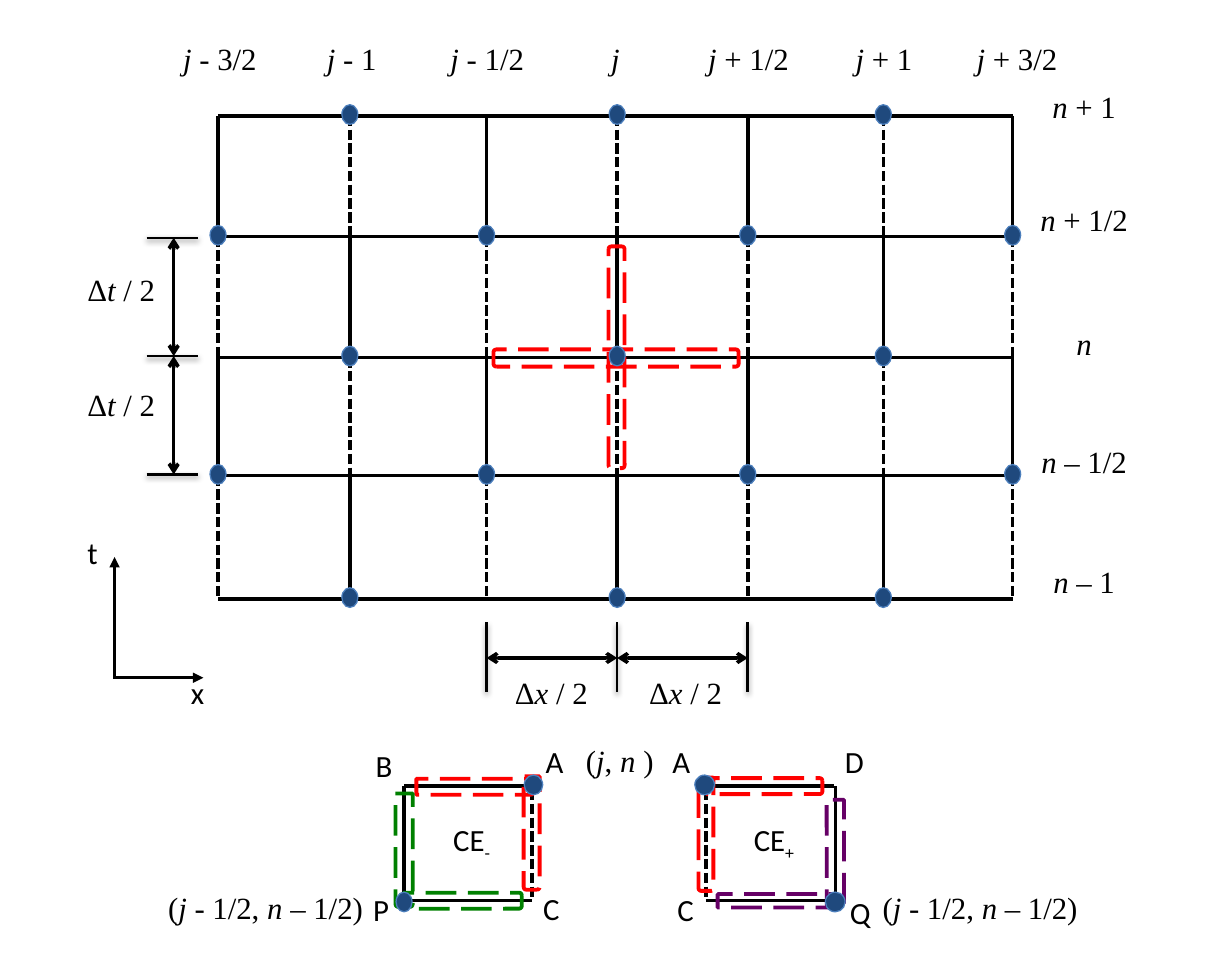
"""Draw a space-time mesh with its two conservation elements."""
from typing import NamedTuple

from lxml.etree import SubElement
from pptx import Presentation
from pptx.dml.color import RGBColor
from pptx.enum.dml import MSO_LINE
from pptx.enum.shapes import MSO_CONNECTOR, MSO_SHAPE
from pptx.enum.text import MSO_AUTO_SIZE, PP_ALIGN
from pptx.oxml.ns import qn
from pptx.shapes.autoshape import Shape
from pptx.shapes.shapetree import SlideShapes
from pptx.util import Inches, Pt

BLACK, NAVY, EDGE = "000000", "1F497D", "4B7EBC"
RED, GREEN, PURPLE = "FF0000", "008000", "660066"
SERIF, SANS = "Times New Roman", "Calibri"
COLS = [1.77, 2.84, 3.95, 5.01, 6.07, 7.17, 8.22]
ROWS = [0.94, 1.92, 2.9, 3.86, 4.86]


class Rule(NamedTuple):
    x1: float
    y1: float
    x2: float
    y2: float
    width: float = 2
    dash: bool = False
    head: str = ""
    tail: str = ""
    shade: bool = False


class Bar(NamedTuple):
    left: float
    top: float
    width: float
    height: float
    hue: str
    turn: int = 180
    kind: MSO_SHAPE = MSO_SHAPE.ROUND_2_SAME_RECTANGLE


class Dot(NamedTuple):
    x: float
    y: float
    width: float = 0.13


class Label(NamedTuple):
    text: str
    left: float
    top: float
    width: float = 0.87
    face: str = SERIF


def color(hue: str) -> RGBColor:
    """Turn a hex string into a color."""
    return RGBColor.from_string(hue)


def draw_rule(shapes: SlideShapes, rule: Rule) -> None:
    """Draw a straight line with optional dashes, heads and shadow."""
    ends = map(Inches, rule[:4])
    link = shapes.add_connector(MSO_CONNECTOR.STRAIGHT, *ends)
    link.line.color.rgb = color(BLACK)
    link.line.width = Pt(rule.width)
    if rule.dash:
        link.line.dash_style = MSO_LINE.SQUARE_DOT
    props = link.element.spPr
    edge = props.find(qn("a:ln"))
    for tag, kind in (("a:headEnd", rule.head), ("a:tailEnd", rule.tail)):
        if kind:
            SubElement(edge, qn(tag), type=kind)
    effects = SubElement(props, qn("a:effectLst"))
    if rule.shade:
        cast = SubElement(effects, qn("a:outerShdw"), blurRad="40000",
                          dist="20000", dir="5400000", rotWithShape="0")
        tint = SubElement(cast, qn("a:srgbClr"), val=BLACK)
        SubElement(tint, qn("a:alpha"), val="38000")


def add_form(shapes: SlideShapes, kind: MSO_SHAPE, box: tuple,
             hue: str, width: float) -> Shape:
    """Add a preset shape with a plain outline."""
    form = shapes.add_shape(kind, *map(Inches, box))
    form.shadow.inherit = False
    form.line.color.rgb = color(hue)
    form.line.width = Pt(width)
    return form


def draw_bar(shapes: SlideShapes, bar: Bar) -> None:
    """Draw a hollow dashed bar."""
    form = add_form(shapes, bar.kind, bar[:4], bar.hue, 2.25)
    form.fill.background()
    form.line.dash_style = MSO_LINE.LONG_DASH
    form.rotation = bar.turn


def draw_dot(shapes: SlideShapes, dot: Dot) -> None:
    """Draw a mesh point around its center."""
    box = (dot.x - dot.width / 2, dot.y - 0.08, dot.width, 0.16)
    form = add_form(shapes, MSO_SHAPE.OVAL, box, EDGE, 0.75)
    form.fill.solid()
    form.fill.fore_color.rgb = color(NAVY)


def draw_label(shapes: SlideShapes, label: Label) -> None:
    """Write a label, with italics between stars and a subscript after a bar."""
    box = map(Inches, (label.left, label.top, label.width, 0.4))
    frame = shapes.add_textbox(*box).text_frame
    frame.word_wrap = True
    frame.auto_size = MSO_AUTO_SIZE.SHAPE_TO_FIT_TEXT
    para = frame.paragraphs[0]
    para.alignment = PP_ALIGN.CENTER if label.face == SERIF else PP_ALIGN.LEFT
    main, _, sub = label.text.partition("|")
    parts = [(text, spot % 2 == 1, False)
             for spot, text in enumerate(main.split("*"))]
    for text, slant, low in parts + [(sub, False, True)]:
        if not text:
            continue
        run = para.add_run()
        run.text = text
        style = {"size": Pt(18), "name": label.face, "italic": slant}
        for key, value in style.items():
            setattr(run.font, key, value)
        run.font.color.rgb = color(BLACK)
        if low:
            run._r.get_or_add_rPr().set("baseline", "-25000")


def mesh_rules() -> list[Rule]:
    """List the mesh lines, with each other upright segment dashed."""
    rules = [Rule(COLS[0], y, COLS[-1], y) for y in ROWS]
    for col, x in enumerate(COLS):
        for row, (top, end) in enumerate(zip(ROWS, ROWS[1:])):
            rules.append(Rule(x, top, x, end, dash=(col + row) % 2 == 1))
    return rules


def size_rules() -> list[Rule]:
    """List the axes, the tick marks and the arrows between ticks."""
    both = {"head": "arrow", "tail": "arrow"}
    mark = {"width": 1.5, "shade": True}
    ticks_x, ticks_y = COLS[2:5], [1.93, 2.89, 3.85]
    rules = [Rule(0.93, 4.52, 0.93, 5.5, head="triangle"),
             Rule(0.92, 5.5, 1.65, 5.5, tail="triangle")]
    rules += [Rule(x, 5.05, x, 5.62, **mark) for x in ticks_x]
    rules += [Rule(1.19, y, 1.61, y, **mark) for y in ticks_y]
    rules += [Rule(a, 5.34, b, 5.34, **both)
              for a, b in zip(ticks_x, ticks_x[1:])]
    rules += [Rule(1.41, a, 1.41, b, **both)
              for a, b in zip(ticks_y, ticks_y[1:])]
    return rules


CELLS = [
    Rule(4.32, 6.3, 4.32, 7.28, dash=True), Rule(3.28, 6.38, 3.28, 7.36),
    Rule(4.26, 6.38, 3.28, 6.38), Rule(4.32, 7.31, 3.34, 7.31),
    Rule(5.73, 6.3, 5.73, 7.28, dash=True), Rule(6.78, 6.38, 6.78, 7.36),
    Rule(5.79, 6.38, 6.77, 6.38), Rule(5.73, 7.31, 6.71, 7.31),
]
BARS = [
    Bar(4.94, 2, 0.13, 1.8, RED, 0, MSO_SHAPE.ROUNDED_RECTANGLE),
    Bar(4.93, 1.91, 0.14, 1.99, RED, 270, MSO_SHAPE.ROUNDED_RECTANGLE),
    Bar(4.25, 6.3, 0.13, 0.92, RED), Bar(3.79, 5.91, 0.13, 0.95, RED, 90),
    Bar(3.69, 6.83, 0.13, 0.96, GREEN, 90), Bar(3.21, 6.44, 0.14, 0.92, GREEN),
    Bar(5.67, 6.31, 0.12, 0.92, RED), Bar(6.14, 5.91, 0.13, 0.94, RED, 90),
    Bar(6.71, 6.49, 0.14, 0.87, PURPLE), Bar(6.25, 6.83, 0.11, 0.96, PURPLE, 90),
]
DOTS = [Dot(x, y - 0.01) for col, x in enumerate(COLS)
        for row, y in enumerate(ROWS) if (col + row) % 2]
DOTS += [Dot(4.33, 6.37, 0.15), Dot(3.28, 7.32),
         Dot(5.72, 6.37, 0.16), Dot(6.78, 7.32, 0.16)]
HEADS = [("*j *- 3/2", 1.35), ("*j *- 1", 2.42), ("*j *- 1/2", 3.52),
         ("*j*", 4.56), ("*j *+ 1/2", 5.64), ("*j *+ 1", 6.74),
         ("*j *+ 3/2", 7.82)]
SIDES = [("*n *+ 1", 0.66), ("*n *+ 1/2", 1.58), ("*n*", 2.59),
         ("*n *– 1/2", 3.54), ("*n *– 1", 4.52)]
POINTS = [("A", 4.33, 5.98), ("C", 4.31, 7.17), ("B", 2.95, 6.01),
          ("P", 2.93, 7.18), ("A", 5.36, 5.98), ("C", 5.4, 7.18),
          ("D", 6.76, 5.98), ("Q", 6.8, 7.2)]
LABELS = [Label(text, left, 0.27) for text, left in HEADS]
LABELS += [Label(text, 8.32, top, 0.96) for text, top in SIDES]
LABELS += [Label(*point, 0.43, SANS) for point in POINTS]
LABELS += [Label("Δ*x */ 2", left, 5.42) for left in (4.04, 5.13)]
LABELS += [Label("Δ*t */ 2", 0.55, top) for top in (2.15, 3.08)]
LABELS += [Label("(*j *- 1/2, *n *– 1/2)", left, 7.16, 1.91)
           for left in (1.2, 7)]
LABELS += [Label("(*j*, *n *)", 4.59, 5.97, 0.88),
           Label("t", 0.61, 4.28, 0.28, SANS), Label("x", 1.45, 5.42, 0.28, SANS),
           Label("CE|-", 3.58, 6.61, 0.63, SANS),
           Label("CE|+", 6.02, 6.61, 0.63, SANS)]


def main() -> None:
    """Build and save the slide."""
    deck = Presentation()
    deck.slide_width, deck.slide_height = Inches(10), Inches(7.88)
    shapes = deck.slides.add_slide(deck.slide_layouts[6]).shapes
    for rule in mesh_rules() + size_rules() + CELLS:
        draw_rule(shapes, rule)
    for bar in BARS:
        draw_bar(shapes, bar)
    for dot in DOTS:
        draw_dot(shapes, dot)
    for label in LABELS:
        draw_label(shapes, label)
    deck.save("out.pptx")


if __name__ == "__main__":
    main()
